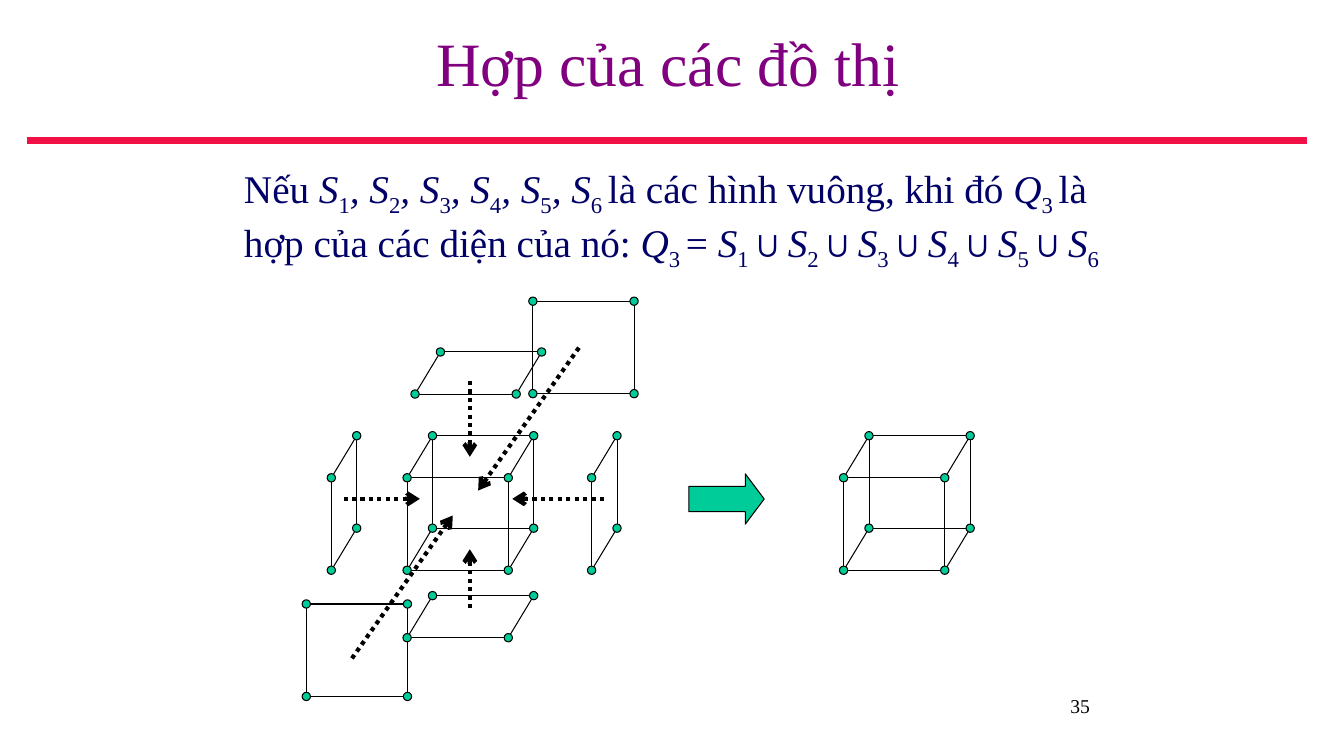
from itertools import combinations, product

from lxml import etree
from pptx import Presentation
from pptx import util as u
from pptx.dml.color import RGBColor
from pptx.enum import dml, shapes, text
from pptx.oxml.ns import qn

FONT = "Times New Roman"
COLORS = {"title": "800080", "body": "000066", "rule": "F01045",
          "ink": "000000", "green": "00CC99"}
TITLE = "Hợp của các đồ thị"
PAGE_NUMBER = "35"

SQUARES = [("S", "italic"), ("1", "sub")]
UNION = [("S", "italic"), ("1", "sub")]
for index in "23456":
    SQUARES += [(", S", "italic"), (index, "sub")]
    UNION += [("∪", "bold"), ("S", "italic"), (index, "sub")]
STATEMENT = [
    ("Nếu ", "plain"), *SQUARES, (" ", "sub"),
    ("là các hình vuông, khi đó ", "plain"), ("Q", "italic"), ("3 ", "sub"),
    ("là hợp của các diện của nó: ", "plain"), ("Q", "italic"), ("3 ", "sub"),
    ("= ", "plain"), *UNION,
]

DOT = 0.21
AXES = {"right": (2.55, 0), "down": (0, 2.33), "back": (0.64, -1.06)}
FIGURES = [
    ((10.26, 12.04), ("right", "down", "back")),
    ((10.46, 9.93), ("right", "back")),
    ((13.43, 7.59), ("right", "down")),
    ((7.72, 15.22), ("right", "down")),
    ((10.26, 16.07), ("right", "back")),
    ((14.91, 12.04), ("down", "back")),
    ((8.35, 12.04), ("down", "back")),
    ((21.26, 12.04), ("right", "down", "back")),
]
MOVES = [
    ((8.66, 12.57), (10.58, 12.57)),
    ((15.22, 12.57), (12.91, 12.57)),
    ((11.84, 15.32), (11.84, 13.84)),
    ((11.84, 9.6), (11.84, 11.51)),
    ((14.59, 8.76), (12.05, 12.36)),
    ((8.87, 16.59), (11.41, 12.99)),
]


def rgb(name):
    return RGBColor.from_string(COLORS[name])


def add_text(slide, box, runs, size, color, align, anchor=text.MSO_ANCHOR.TOP):
    frame = slide.shapes.add_textbox(*map(u.Cm, box)).text_frame
    frame.word_wrap = True
    frame.vertical_anchor = anchor
    paragraph = frame.paragraphs[0]
    paragraph.alignment = align
    for words, style in runs:
        run = paragraph.add_run()
        run.text = words
        run.font.name = FONT
        run.font.size = u.Pt(size)
        run.font.color.rgb = rgb(color)
        run.font.italic = style == "italic"
        run.font.bold = style == "bold"
        if style == "sub":
            run._r.get_or_add_rPr().set("baseline", "-25000")
    return paragraph


def add_line(slide, start, end, color="ink", width=0.75, arrow=False):
    connector = slide.shapes.add_connector(
        shapes.MSO_CONNECTOR.STRAIGHT, *map(u.Cm, (*start, *end)))
    connector.line.color.rgb = rgb(color)
    connector.line.width = u.Pt(width)
    properties = connector._element.spPr
    if arrow:
        connector.line.dash_style = dml.MSO_LINE.ROUND_DOT
        etree.SubElement(properties.find(qn("a:ln")), qn("a:tailEnd"), type="arrow")
    etree.SubElement(properties, qn("a:effectLst"))


def add_green_shape(slide, kind, box):
    shape = slide.shapes.add_shape(kind, *map(u.Cm, box))
    shape.shadow.inherit = False
    shape.fill.solid()
    shape.fill.fore_color.rgb = rgb("green")
    shape.line.color.rgb = rgb("ink")
    shape.line.width = u.Pt(0.75)
    return shape


def add_figure(slide, origin, axes):
    vertices = {}
    for corner in product((0, 1), repeat=len(axes)):
        vertices[corner] = tuple(
            origin[i] + sum(bit * AXES[axis][i] for bit, axis in zip(corner, axes))
            for i in (0, 1))
    for first, second in combinations(vertices, 2):
        if sum(a != b for a, b in zip(first, second)) == 1:
            add_line(slide, vertices[first], vertices[second])
    for x, y in vertices.values():
        add_green_shape(slide, shapes.MSO_SHAPE.OVAL,
                        (x - DOT / 2, y - DOT / 2, DOT, DOT))


def main():
    """Build the slide on the union of graphs."""
    presentation = Presentation()
    presentation.slide_width, presentation.slide_height = u.Cm(33.87), u.Cm(19.05)
    slide = presentation.slides.add_slide(presentation.slide_layouts[6])

    add_line(slide, (0.67, 3.54), (32.95, 3.54), "rule", 4.5)
    add_text(slide, (22.43, 17.36, 5.29, 1.27), [(PAGE_NUMBER, "plain")], 14, "ink",
             text.PP_ALIGN.RIGHT)
    add_text(slide, (0.67, 0, 32.35, 3.13), [(TITLE, "plain")], 44, "title",
             text.PP_ALIGN.CENTER, text.MSO_ANCHOR.MIDDLE)
    statement = add_text(slide, (4.95, 4.02, 23.81, 3), STATEMENT, 28, "body",
                         text.PP_ALIGN.LEFT)
    statement._p.get_or_add_pPr().set("marL", str(u.Cm(0.95)))

    for origin, axes in FIGURES:
        add_figure(slide, origin, axes)
    for start, end in MOVES:
        add_line(slide, start, end, width=3, arrow=True)
    result = add_green_shape(slide, shapes.MSO_SHAPE.RIGHT_ARROW,
                             (17.36, 11.94, 1.9, 1.27))
    result.adjustments[1] = 0.375

    presentation.save("out.pptx")


if __name__ == "__main__":
    main()
